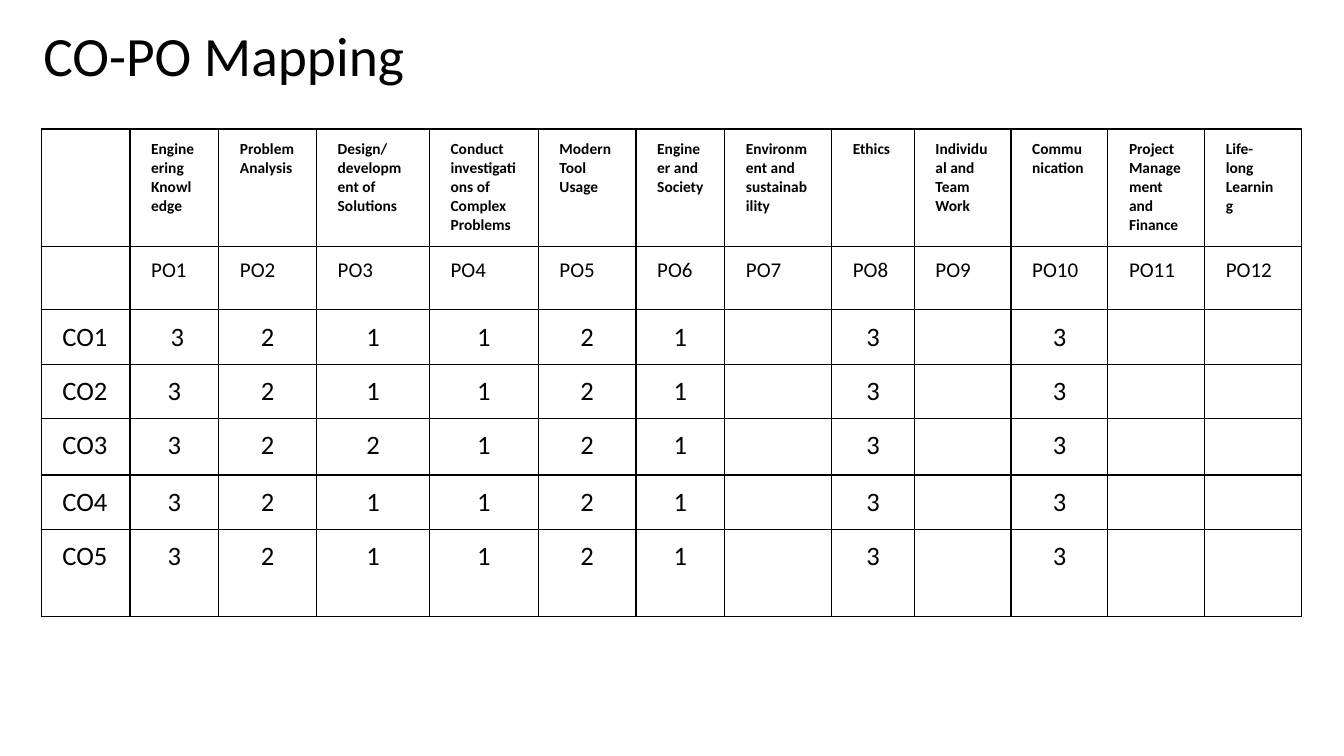
from dataclasses import dataclass

from lxml import etree
from pptx import Presentation
from pptx.dml.color import RGBColor
from pptx.enum.text import MSO_ANCHOR, PP_ALIGN
from pptx.oxml.ns import qn
from pptx.text.text import _Paragraph
from pptx.table import _Cell
from pptx.util import Inches, Pt


@dataclass(frozen=True)
class Theme:
    font: str = "Calibri"
    ink: str = "000000"
    paper: str = "FFFFFF"
    title_size: float = 39.6
    border_width: float = 1


@dataclass(frozen=True)
class CellStyle:
    size: float
    bold: bool = False
    align: PP_ALIGN = PP_ALIGN.LEFT


THEME = Theme()
OUTCOME = CellStyle(11, bold=True)
CODE = CellStyle(15)
COURSE = CellStyle(19)
LEVEL = CellStyle(19, align=PP_ALIGN.CENTER)

# Programme outcomes and the level each course outcome reaches
OUTCOMES = [
    "Engineering Knowledge", "Problem Analysis",
    "Design/development of Solutions",
    "Conduct investigations of Complex Problems", "Modern Tool Usage",
    "Engineer and Society", "Environment and sustainability", "Ethics",
    "Individual and Team Work", "Communication",
    "Project Management and Finance", "Life-long Learning",
]
LEVELS = ["3", "2", "1", "1", "2", "1", "", "3", "", "3", "", ""]
COURSES = {f"CO{n}": list(LEVELS) for n in range(1, 6)}
COURSES["CO1"][0] = " 3"
COURSES["CO3"][2] = "2"

COLUMN_WIDTHS = [0.88, 0.88, 0.97, 1.12, 1.08, 0.97, 0.88, 1.06, 0.82] + [0.96] * 4
ROW_HEIGHTS = [1.09, 0.63, 0.53, 0.53, 0.56, 0.53, 0.86]


def write(paragraph: _Paragraph, text: str, style: CellStyle) -> None:
    paragraph.alignment = style.align
    run = paragraph.add_run()
    run.text = text
    run.font.name = THEME.font
    run.font.size = Pt(style.size)
    run.font.bold = style.bold
    run.font.color.rgb = RGBColor.from_string(THEME.ink)


def add_borders(cell: _Cell) -> None:
    """Border lines come before the fill in the cell properties."""
    properties = cell._tc.get_or_add_tcPr()
    for index, side in enumerate(("a:lnL", "a:lnR", "a:lnT", "a:lnB")):
        line = etree.Element(qn(side), w=str(Pt(THEME.border_width)))
        fill = etree.SubElement(line, qn("a:solidFill"))
        etree.SubElement(fill, qn("a:srgbClr"), val=THEME.ink)
        properties.insert(index, line)


def fill_cell(cell: _Cell, text: str, style: CellStyle) -> None:
    cell.margin_left = cell.margin_right = Inches(0.21)
    cell.margin_top = cell.margin_bottom = Inches(0.11)
    cell.fill.solid()
    cell.fill.fore_color.rgb = RGBColor.from_string(THEME.paper)
    add_borders(cell)
    if text:
        write(cell.text_frame.paragraphs[0], text, style)


presentation = Presentation()
presentation.slide_width = Inches(13.33)
presentation.slide_height = Inches(7.5)
slide = presentation.slides.add_slide(presentation.slide_layouts[5])

# Title
title = slide.shapes.title
title.left, title.top = Inches(0.33), Inches(0.23)
title.width, title.height = Inches(11.49), Inches(0.71)
title.text_frame.vertical_anchor = MSO_ANCHOR.MIDDLE
heading = title.text_frame.paragraphs[0]
heading.line_spacing = 0.9
write(heading, "CO-PO Mapping", CellStyle(THEME.title_size))

# Rows: outcome names, outcome codes, then one row per course outcome
codes = [f"PO{n}" for n in range(1, len(OUTCOMES) + 1)]
rows = [("", OUTCOMES, OUTCOME), ("", codes, CODE)]
rows += [(course, levels, LEVEL) for course, levels in COURSES.items()]

# Mapping table
table = slide.shapes.add_table(
    len(rows), len(COLUMN_WIDTHS), Inches(0.41), Inches(1.28),
    Inches(sum(COLUMN_WIDTHS)), Inches(sum(ROW_HEIGHTS)),
).table
table.first_row = table.horz_banding = False
for column, width in zip(table.columns, COLUMN_WIDTHS):
    column.width = Inches(width)
for row, height, (label, values, style) in zip(table.rows, ROW_HEIGHTS, rows):
    row.height = Inches(height)
    label_cell, *value_cells = row.cells
    fill_cell(label_cell, label, COURSE)
    for cell, value in zip(value_cells, values):
        fill_cell(cell, value, style)

presentation.save("out.pptx")
